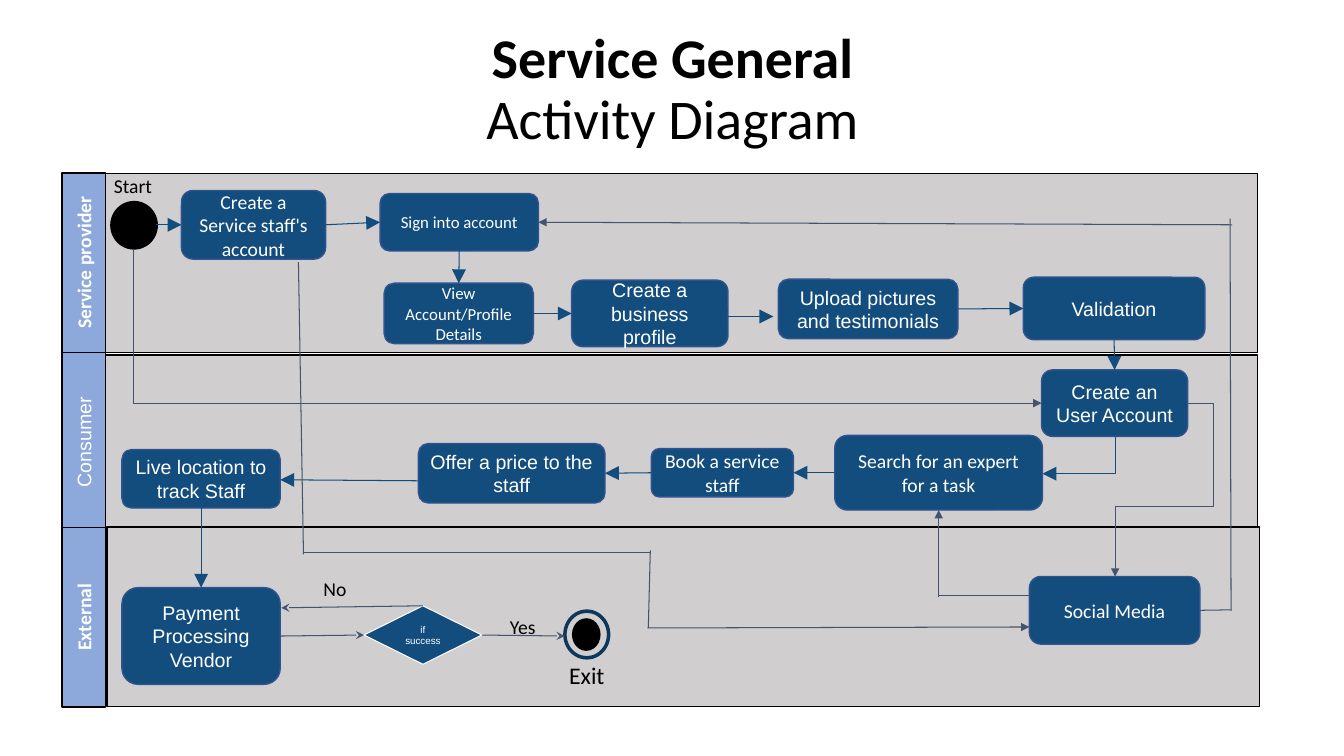
from lxml.etree import SubElement
from pptx import Presentation
from pptx.dml.color import RGBColor
from pptx.enum.shapes import MSO_CONNECTOR, MSO_SHAPE
from pptx.enum.text import MSO_ANCHOR, PP_ALIGN
from pptx.oxml.ns import qn
from pptx.util import Inches, Pt

BLACK, WHITE = "000000", "FFFFFF"
BLUE, GRAY = "134D7E", "44546A"
color = RGBColor.from_string


def write(shape, text, size=14, font="Calibri", ink=WHITE, bold=False,
          align=PP_ALIGN.CENTER, anchor=MSO_ANCHOR.MIDDLE, inset=(0.07, 0.04), wrap=True):
    """Fill a shape with text, one paragraph per line."""
    frame = shape.text_frame
    frame.word_wrap = wrap
    frame.vertical_anchor = anchor
    frame.margin_left = frame.margin_right = Inches(inset[0])
    frame.margin_top = frame.margin_bottom = Inches(inset[1])
    frame.text = text
    for paragraph in frame.paragraphs:
        paragraph.alignment = align
        for run in paragraph.runs:
            run.font.size = Pt(size)
            run.font.name = font
            run.font.bold = bold
            run.font.color.rgb = color(ink)


def add_block(kind, left, top, width, height, fill, line, line_width=1):
    shape = slide.shapes.add_shape(kind, Inches(left), Inches(top), Inches(width), Inches(height))
    shape.shadow.inherit = False
    shape.fill.solid()
    shape.fill.fore_color.rgb = color(fill)
    shape.line.color.rgb = color(line)
    shape.line.width = Pt(line_width)
    return shape


presentation = Presentation()
presentation.slide_width = Inches(13.33)
presentation.slide_height = Inches(7.5)
slide = presentation.slides.add_slide(presentation.slide_layouts[5])

# Title
title = slide.shapes.title
title.left, title.top = Inches(4.58), Inches(0.18)
title.width, title.height = Inches(4.18), Inches(1.37)
write(title, "Service General", size=40, ink=BLACK, bold=True,
      anchor=MSO_ANCHOR.BOTTOM, inset=(0.1, 0.05))
heading = title.text_frame.paragraphs[0]
heading.line_spacing = 0.9
heading.add_line_break()
subtitle = heading.add_run()
subtitle.text = "Activity Diagram"
subtitle.font.size = Pt(40)
subtitle.font.name = "Calibri"
subtitle.font.bold = False
subtitle.font.color.rgb = color(BLACK)

# Swimlanes: name, left, top, width, height, label top, font, bold
lanes = [
    ("Service provider", 1.04, 1.72, 11.43, 1.78, 2.39, "Calibri", True),
    ("Consumer", 0.87, 3.52, 11.6, 1.72, 4.17, "Arial", False),
    ("External", 1.06, 5.23, 11.43, 1.78, 5.91, "Calibri", True),
]
for name, left, top, width, height, label_top, font, bold in lanes:
    add_block(MSO_SHAPE.RECTANGLE, left, top, width, height, "D0CECE", BLACK)
    label = add_block(MSO_SHAPE.RECTANGLE, -0.06, label_top, 1.78, 0.43, "8DA9DB", BLACK)
    label.rotation = 270
    write(label, name, font=font, bold=bold)

# Activities: key, text, left, top, width, height, font, size
activities = [
    ("staff", "Create a Service staff's account", 1.8, 1.89, 1.43, 0.68, "Calibri", 14),
    ("sign in", "Sign into account", 3.77, 1.92, 1.57, 0.57, "Calibri", 12),
    ("book", "Book a service staff", 6.46, 4.45, 1.41, 0.48, "Calibri", 14),
    ("offer", "Offer a price to the staff", 4.15, 4.4, 1.85, 0.59, "Arial", 14),
    ("track", "Live location to track Staff", 1.21, 4.46, 1.57, 0.58, "Arial", 14),
    ("search", "Search for an expert for a task", 8.28, 4.32, 2.06, 0.74, "Calibri", 14),
    ("business", "Create a business profile", 5.67, 2.78, 1.55, 0.66, "Arial", 14),
    ("user", "Create an User Account", 10.33, 3.67, 1.45, 0.66, "Arial", 14),
    ("view", "View Account/Profile Details", 3.81, 2.81, 1.48, 0.6, "Calibri", 12),
    ("upload", "Upload pictures and testimonials", 7.72, 2.77, 1.78, 0.59, "Arial", 14),
    ("validation", "Validation", 10.15, 2.75, 1.8, 0.62, "Arial", 14),
    ("social", "Social Media", 10.21, 5.72, 1.69, 0.67, "Calibri", 14),
    ("payment", "Payment Processing\nVendor", 1.21, 5.83, 1.57, 0.96, "Arial", 14),
]
nodes = {}
for key, text, left, top, width, height, font, size in activities:
    nodes[key] = add_block(MSO_SHAPE.ROUNDED_RECTANGLE, left, top, width, height, BLUE, "31538F")
    write(nodes[key], text, font=font, size=size)

# Start, exit and decision
add_block(MSO_SHAPE.OVAL, 1.1, 2, 0.46, 0.47, BLACK, BLACK)
add_block(MSO_SHAPE.OVAL, 5.68, 6.14, 0.27, 0.31, BLACK, BLACK)
exit_ring = add_block(MSO_SHAPE.DONUT, 5.6, 6.06, 0.44, 0.47, BLUE, "0D385B", 2)
exit_ring.adjustments[0] = 0.015
nodes["success"] = add_block(MSO_SHAPE.DIAMOND, 3.61, 6.01, 1.17, 0.58, BLUE, WHITE, 0.75)
write(nodes["success"], "if success", size=7, font="Arial", inset=(0.1, 0.1))

# Straight lines: begin, end, color, arrowhead; an end is a point or (activity, side)
straight_lines = [
    ((1.55, 2.23), ("staff", 1), BLUE, "triangle"),
    (("staff", 3), ("sign in", 1), BLUE, "triangle"),
    (("sign in", 2), ("view", 0), BLUE, "triangle"),
    (("view", 3), ("business", 1), BLUE, "triangle"),
    ((7.21, 3.14), (7.67, 3.14), BLUE, "triangle"),
    (("upload", 3), ("validation", 1), BLUE, "triangle"),
    (("validation", 2), ("user", 0), BLUE, "triangle"),
    (("search", 1), ("book", 3), BLUE, "triangle"),
    (("book", 1), ("offer", 3), BLUE, "triangle"),
    ((4.15, 4.77), (2.78, 4.76), BLUE, "triangle"),
    (("track", 2), ("payment", 0), BLUE, "triangle"),
    ((10.21, 5.91), (9.3, 5.91), GRAY, None),
    ((9.31, 5.92), ("search", 2), GRAY, "triangle"),
    ((2.96, 2.6), (3.01, 5.5), GRAY, None),
    ((3.01, 5.48), (6.46, 5.48), GRAY, None),
    ((6.45, 5.46), (6.43, 6.23), GRAY, None),
    ((6.42, 6.23), (10.21, 6.22), GRAY, "triangle"),
    (("social", 3), (12.21, 6.05), GRAY, None),
    ((12.21, 6.06), (12.2, 2.17), GRAY, None),
    ((12.22, 2.23), ("sign in", 3), GRAY, "triangle"),
    (("payment", 3), ("success", 1), GRAY, "stealth"),
    (("success", 0), (2.79, 6.03), GRAY, "stealth"),
    (("success", 3), (5.6, 6.31), GRAY, "stealth"),
]
connectors = []
for begin, end, ink, arrow in straight_lines:
    begin_glued, end_glued = isinstance(begin[0], str), isinstance(end[0], str)
    begin_point = (0, 0) if begin_glued else begin
    end_point = (0, 0) if end_glued else end
    connector = slide.shapes.add_connector(
        MSO_CONNECTOR.STRAIGHT, *map(Inches, begin_point), *map(Inches, end_point))
    if begin_glued:
        connector.begin_connect(nodes[begin[0]], begin[1])
    if end_glued:
        connector.end_connect(nodes[end[0]], end[1])
    connectors.append((connector, ink, "tailEnd", arrow))

# Elbows: preset, left, top, width, height, rotation, flipped, adjustments, color, arrow end
elbows = [
    ("bentConnector2", 10.52, 4.16, 0.36, 0.72, 90, False, [], BLUE, "tailEnd"),
    ("bentConnector4", 10.56, 4.5, 1.72, 0.72, 270, False, [40400, 136000], GRAY, "headEnd"),
    ("bentConnector2", 5.06, -1.27, 1.53, 9.01, 270, True, [], GRAY, "tailEnd"),
]
for preset, left, top, width, height, rotation, flipped, adjustments, ink, arrow_end in elbows:
    connector = slide.shapes.add_connector(
        MSO_CONNECTOR.ELBOW, Inches(left), Inches(top), Inches(left + width), Inches(top + height))
    properties = connector._element.spPr
    transform = properties.find(qn("a:xfrm"))
    transform.set("rot", str(rotation * 60000))
    if flipped:
        transform.set("flipH", "1")
    geometry = properties.find(qn("a:prstGeom"))
    geometry.set("prst", preset)
    for number, value in enumerate(adjustments, 1):
        SubElement(geometry.find(qn("a:avLst")), qn("a:gd"), name=f"adj{number}", fmla=f"val {value}")
    connectors.append((connector, ink, arrow_end, "triangle"))

for connector, ink, arrow_end, arrow in connectors:
    connector.line.color.rgb = color(ink)
    connector.line.width = Pt(0.75)
    if arrow:
        scale = "lg" if ink == BLUE else "med"
        SubElement(connector.line._get_or_add_ln(), qn(f"a:{arrow_end}"), type=arrow, w=scale, len=scale)
    SubElement(connector._element.spPr, qn("a:effectLst"))

# Free labels
labels = [
    ("Start", 1.03, 1.63, 0.59, 0.44, 14, PP_ALIGN.LEFT),
    ("No", 3.11, 5.62, 0.53, 0.44, 14, PP_ALIGN.LEFT),
    ("Yes", 4.96, 6, 0.53, 0.44, 14, PP_ALIGN.LEFT),
    ("Exit", 5.43, 6.45, 0.78, 0.49, 17, PP_ALIGN.CENTER),
]
for text, left, top, width, height, size, align in labels:
    box = slide.shapes.add_textbox(Inches(left), Inches(top), Inches(width), Inches(height))
    write(box, text, size=size, ink=BLACK, align=align, anchor=MSO_ANCHOR.TOP,
          inset=(0.1, 0.1), wrap=False)

presentation.save("out.pptx")
